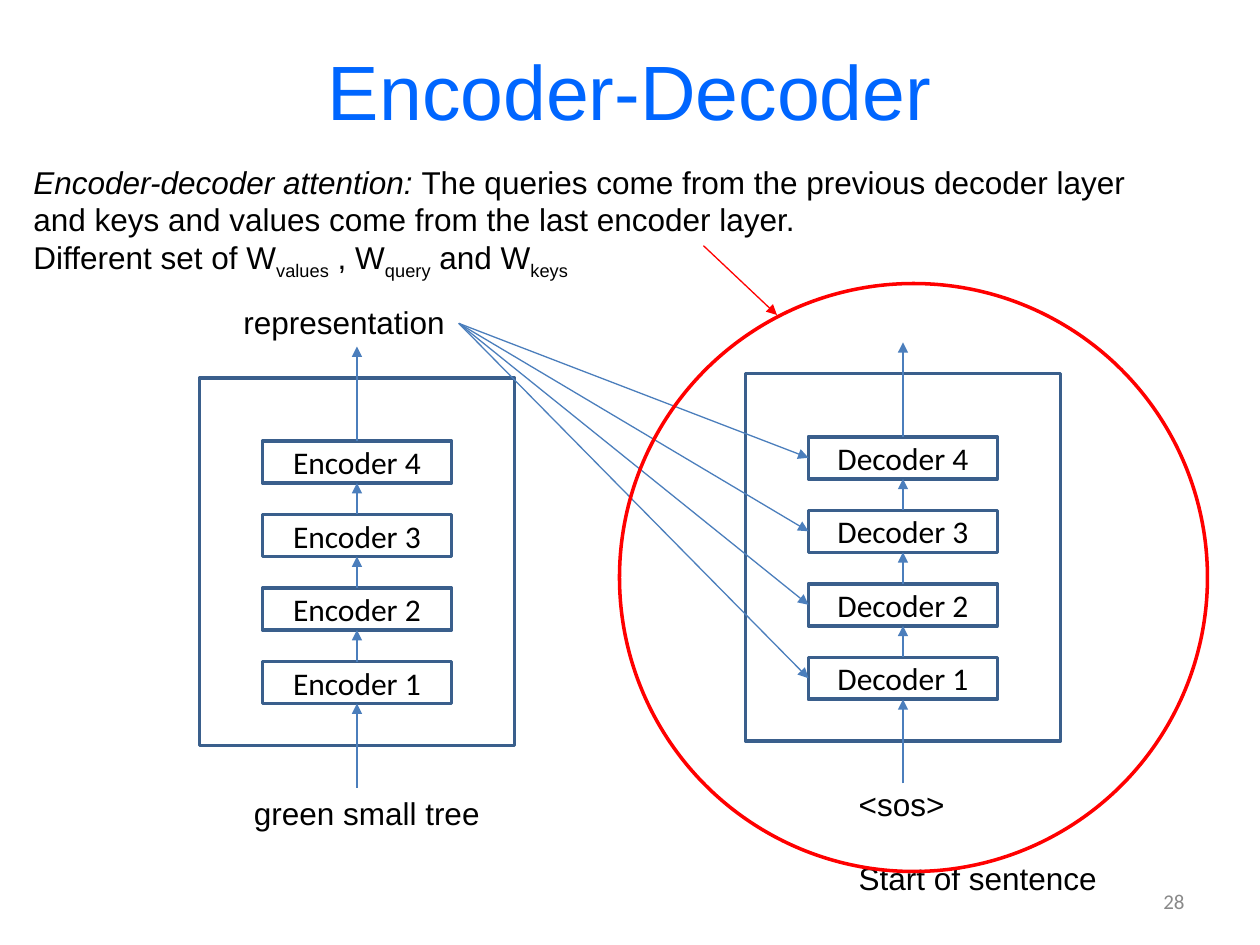
import pptx
import pptx.dml.color
import pptx.enum.shapes
import pptx.enum.text
import pptx.oxml
import pptx.oxml.ns
import pptx.util

CELL = pptx.util.Inches(1) / 12
BOX_LINE, ARROW_LINE, RED = "3A5F8C", "4B7EBC", "FF0000"
LAYERS = 4
LAYER_STEP = 7
LAYER_HEIGHT = 4
LAYER_WIDTH = 18
FRAME_WIDTH, FRAME_HEIGHT = 30, 35
ALIGN = pptx.enum.text.PP_ALIGN
ANCHOR = pptx.enum.text.MSO_ANCHOR
SHAPE = pptx.enum.shapes.MSO_SHAPE


def cells(*values):
    return [round(value * CELL) for value in values]


def color(hex_code):
    return pptx.dml.color.RGBColor.from_string(hex_code)


def write(frame, paragraphs, size=18, font="Arial", fill="000000",
          align=ALIGN.LEFT, anchor=ANCHOR.TOP, wrap=False, gap=0):
    frame.word_wrap = wrap
    frame.vertical_anchor = anchor
    for index, parts in enumerate(paragraphs):
        paragraph = frame.add_paragraph() if index else frame.paragraphs[0]
        paragraph.alignment = align
        if index and gap:
            paragraph.space_before = pptx.util.Pt(gap)
        for text, style in parts:
            run = paragraph.add_run()
            run.text = text
            run.font.size = pptx.util.Pt(size)
            run.font.name = font
            run.font.color.rgb = color(fill)
            run.font.italic = style == "italic"
            if style == "subscript":
                run._r.get_or_add_rPr().set("baseline", "-25000")


def plain(*lines):
    return [[(line, None)] for line in lines]


def add_text(slide, box, paragraphs, **text_format):
    shape = slide.shapes.add_textbox(*cells(*box))
    write(shape.text_frame, paragraphs, **text_format)


def add_outline(slide, kind, box, line):
    shape = slide.shapes.add_shape(kind, *cells(*box))
    shape.shadow.inherit = False
    shape.fill.background()
    shape.line.color.rgb = color(line)
    shape.line.width = pptx.util.Pt(2)
    return shape


def add_arrow(slide, start, end, line=ARROW_LINE):
    arrow = slide.shapes.add_connector(
        pptx.enum.shapes.MSO_CONNECTOR.STRAIGHT, *cells(*start, *end))
    arrow.line.color.rgb = color(line)
    arrow.line.width = pptx.util.Pt(0.75)
    namespace = pptx.oxml.ns.nsdecls("a")
    arrow.line._get_or_add_ln().append(
        pptx.oxml.parse_xml(f'<a:tailEnd {namespace} type="triangle"/>'))
    arrow._element.spPr.append(
        pptx.oxml.parse_xml(f"<a:effectLst {namespace}/>"))


def add_stack(slide, name, left, top):
    add_outline(slide, SHAPE.RECTANGLE,
                (left, top, FRAME_WIDTH, FRAME_HEIGHT), BOX_LINE)
    layer_left = left + (FRAME_WIDTH - LAYER_WIDTH) / 2
    layer_tops = [top + 6 + LAYER_STEP * (LAYERS - 1 - index)
                  for index in range(LAYERS)]
    for number, layer_top in enumerate(layer_tops, 1):
        layer = add_outline(slide, SHAPE.RECTANGLE,
                            (layer_left, layer_top, LAYER_WIDTH, LAYER_HEIGHT),
                            BOX_LINE)
        write(layer.text_frame, plain(f"{name} {number}"), font="Calibri",
              align=ALIGN.CENTER, anchor=ANCHOR.MIDDLE, wrap=True)
    center = left + FRAME_WIDTH / 2
    starts = [top + FRAME_HEIGHT + 4] + layer_tops
    ends = [layer_top + LAYER_HEIGHT for layer_top in layer_tops] + [top - 3]
    for start, end in zip(starts, ends):
        add_arrow(slide, (center, start), (center, end))
    return [(layer_left, layer_top + LAYER_HEIGHT / 2)
            for layer_top in layer_tops]


def main():
    presentation = pptx.Presentation()
    presentation.slide_width = pptx.util.Inches(10)
    presentation.slide_height = pptx.util.Inches(7.5)
    slide = presentation.slides.add_slide(presentation.slide_layouts[6])

    add_text(slide, (6, 1, 108, 15), plain("Encoder-Decoder"), size=44,
             fill="0066FF", align=ALIGN.CENTER, anchor=ANCHOR.MIDDLE, wrap=True)
    add_text(slide, (86, 83.4, 28, 4.8), plain("28"), size=12, font="Calibri",
             fill="898989", align=ALIGN.RIGHT, anchor=ANCHOR.MIDDLE, wrap=True)

    add_stack(slide, "Encoder", 19, 36)
    add_text(slide, (23, 75, 24.1, 4.8), plain("green small tree"))
    add_text(slide, (22, 28.3, 21.7, 4.8), plain("representation"))

    decoder_inputs = add_stack(slide, "Decoder", 71, 35.6)
    add_text(slide, (80.6, 74.2, 25.3, 12.1),
             plain("<sos>", "Start of sentence"), gap=20.7)
    for decoder_input in decoder_inputs:
        add_arrow(slide, (43.7, 30.8), decoder_input)

    add_text(slide, (2, 14.9, 107.4, 12.1), [
        [("Encoder-decoder attention: ", "italic"),
         ("The queries come from the previous decoder layer", None)],
        [("and keys and values come from the last encoder layer.", None)],
        [("Different set of W", None), ("values", "subscript"),
         (" , W", None), ("query", "subscript"),
         (" and W", None), ("keys", "subscript")],
    ])
    add_outline(slide, SHAPE.OVAL, (59, 27, 56, 56), RED)
    add_arrow(slide, (67, 23.4), (74, 30), RED)

    presentation.save("out.pptx")


if __name__ == "__main__":
    main()
